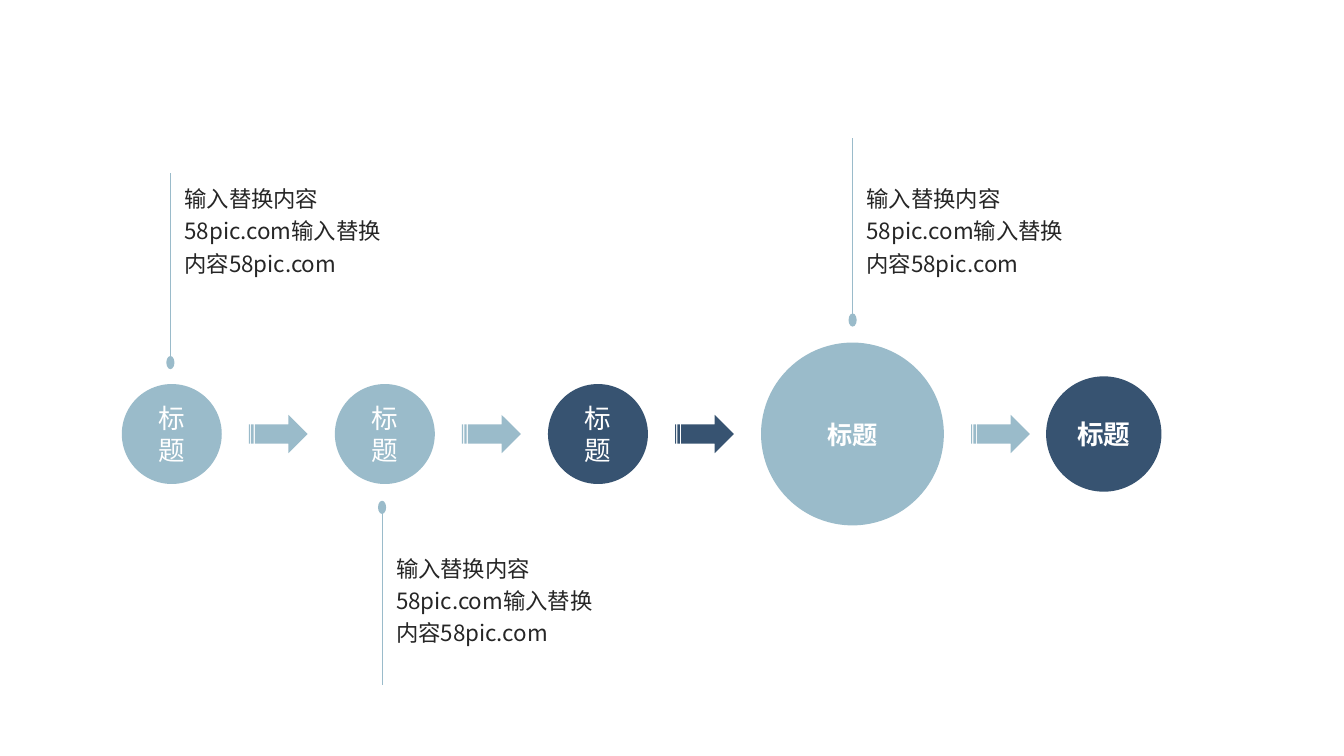
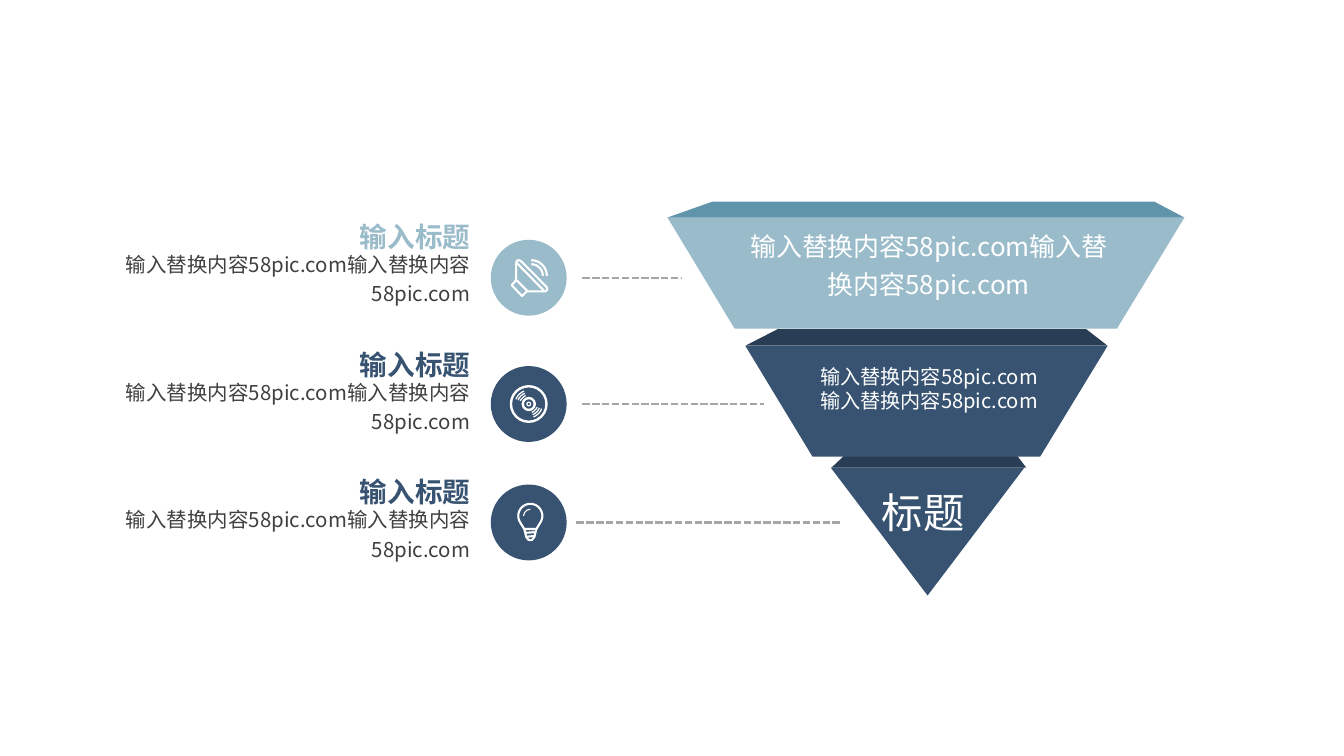
from math import cos, radians, sin

from lxml.etree import SubElement
from pptx import Presentation
from pptx.dml.color import RGBColor
from pptx.enum.dml import MSO_LINE
from pptx.enum.shapes import MSO_CONNECTOR, MSO_SHAPE
from pptx.enum.text import MSO_ANCHOR, PP_ALIGN
from pptx.oxml.ns import qn
from pptx.util import Pt

COLORS = {
    "sky": "9ABBCA",
    "sky_dark": "6094AB",
    "navy": "375371",
    "navy_dark": "293E55",
    "white": "FFFFFF",
    "ink": "262626",
    "body": "404040",
    "dash": "A6A6A6",
}
CJK = "Noto Sans CJK SC"
LATIN = "Arial"
HEADING = "标题"
ITEM_TITLE = "输入标题"
CONTENT = "输入替换内容58pic.com输入替换内容58pic.com"
STROKE = 1.5


def rgb(name):
    return RGBColor.from_string(COLORS[name])


def write(frame, text, size, color, font=CJK, bold=False, align=PP_ALIGN.LEFT,
          spacing=None, insets=(7.2, 3.6, 7.2, 3.6), wrap=True,
          anchor=MSO_ANCHOR.TOP):
    frame.word_wrap = wrap
    frame.vertical_anchor = anchor
    (frame.margin_left, frame.margin_top,
     frame.margin_right, frame.margin_bottom) = map(Pt, insets)
    para = frame.paragraphs[0]
    para.alignment = align
    if spacing:
        para.line_spacing = spacing
    span = para.add_run()
    span.text = text
    span.font.name = font
    span.font.size = Pt(size)
    span.font.bold = bold
    span.font.color.rgb = rgb(color)
    SubElement(span.font._element, qn("a:ea"), typeface=font)


def add_text(page, left, top, width, height, text, size, color, **style):
    box = page.shapes.add_textbox(Pt(left), Pt(top), Pt(width), Pt(height))
    write(box.text_frame, text, size, color, **style)


def paint(shape, fill=None, line=None, weight=STROKE):
    shape.shadow.inherit = False
    if fill:
        shape.fill.solid()
        shape.fill.fore_color.rgb = rgb(fill)
    else:
        shape.fill.background()
    if line:
        shape.line.color.rgb = rgb(line)
        shape.line.width = Pt(weight)
    else:
        shape.line.fill.background()


def add_preset(page, kind, left, top, width, height, **look):
    shape = page.shapes.add_shape(kind, Pt(left), Pt(top), Pt(width), Pt(height))
    paint(shape, **look)
    return shape


def add_circle(page, x, y, radius, **look):
    return add_preset(page, MSO_SHAPE.OVAL, x - radius, y - radius,
                      2 * radius, 2 * radius, **look)


def add_arc(page, x, y, radius, start, end, weight=STROKE):
    arc = add_preset(page, MSO_SHAPE.ARC, x - radius, y - radius,
                     2 * radius, 2 * radius, line="white", weight=weight)
    arc.adjustments[0] = start * 0.6
    arc.adjustments[1] = end * 0.6


def add_outline(page, points, x=0, y=0, closed=True, **look):
    first, *rest = [(Pt(x + dx), Pt(y + dy)) for dx, dy in points]
    builder = page.shapes.build_freeform(*first, scale=1.0)
    builder.add_line_segments(rest, close=closed)
    paint(builder.convert_to_shape(), **look)


def add_line(page, x1, y1, x2, y2, color, weight, dash=None):
    line = page.shapes.add_connector(
        MSO_CONNECTOR.STRAIGHT, Pt(x1), Pt(y1), Pt(x2), Pt(y2))
    line.line.color.rgb = rgb(color)
    line.line.width = Pt(weight)
    if dash:
        line.line.dash_style = dash
    SubElement(line._element.spPr, qn("a:effectLst"))


def add_callout(page, x, dot_y, line_end, text_top):
    add_preset(page, MSO_SHAPE.OVAL, x - 2.9, dot_y - 4.7, 5.8, 9.4, fill="sky")
    add_line(page, x, dot_y, x, line_end, "sky", 0.5)
    add_text(page, x + 2.9, text_top, 166.3, 74.9, CONTENT, 16, "ink", spacing=1.2)


def add_dish(page, x, y):
    stroke = {"line": "white"}
    add_outline(page, [(-9, -10.4), (-8.6, -12), (-7.2, -12.6), (-5.6, -12),
                       (13, 6.8), (13.2, 8.6), (11.9, 9.7), (-0.7, 9.7),
                       (-9, 1.4)], x, y, **stroke)
    add_line(page, x - 8.5, y - 10.5, x + 10.6, y + 9, "white", STROKE)
    add_outline(page, [(-9, 1.7), (-12.2, 5.4), (-4.7, 13), (-1.1, 9.4)],
                x, y, closed=False, **stroke)
    for radius in (8.3, 11.2):
        add_arc(page, x + 1.8, y - 1.4, radius, 270, 0)


def add_disc(page, x, y):
    for radius, weight in ((12.7, 1.7), (4.3, 1.7), (1.3, 0.9)):
        add_circle(page, x, y, radius, line="white", weight=weight)
    for radius in (6.4, 8.1, 9.8):
        for start in (20, 200):
            add_arc(page, x, y, radius, start, start + 50, weight=0.9)


def add_bulb(page, x, y):
    glass = [(1.1 + 8.6 * cos(radians(angle)), -4.7 + 8.6 * sin(radians(angle)))
             for angle in range(150, 391, 10)]
    add_outline(page, glass + [(5.4, 4.7), (-3.2, 4.7)], x, y, line="white")
    add_outline(page, [(-3.2, 4.7), (-1.8, 10.4), (0, 12.6), (2.2, 12.6),
                       (4, 10.4), (5.4, 4.7)], x, y, closed=False, line="white")
    for rise, half in ((7.4, 3.4), (10.2, 2.7)):
        add_line(page, x + 1.1 - half, y + rise, x + 1.1 + half, y + rise - 0.5,
                 "white", STROKE)
    add_arc(page, x + 1.1, y - 4.7, 4.8, 180, 270, weight=0.8)


def build_process(page):
    middle, gap, arrow_width, arrow_height = 310, 19.4, 42, 27.4
    steps = [
        (71.4, "sky", 19, False, gap),
        (71.4, "sky", 19, False, gap),
        (71.4, "navy", 19, False, gap),
        (130.6, "sky", 18, True, 11.6),
        (82.4, "navy", 19, True, None),
    ]
    left = 87
    for size, color, text_size, bold, next_gap in steps:
        circle = add_circle(page, left + size / 2, middle, size / 2, fill=color)
        write(circle.text_frame, HEADING, text_size, "white", bold=bold,
              align=PP_ALIGN.CENTER, anchor=MSO_ANCHOR.MIDDLE,
              insets=(9.4, 5, 9.4, 5))
        left += size + gap
        if next_gap:
            add_preset(page, MSO_SHAPE.STRIPED_RIGHT_ARROW, left,
                       middle - arrow_height / 2, arrow_width, arrow_height,
                       fill=color)
            left += arrow_width + next_gap

    for callout in ((121.7, 259, 123.3, 125), (609, 228.6, 98.6, 125),
                    (272.9, 362.4, 489, 389)):
        add_callout(page, *callout)


def build_funnel(page):
    add_preset(page, MSO_SHAPE.FLOWCHART_MERGE, 593.4, 334, 138.4, 91.4, fill="navy")
    faces = [
        ("navy_dark", [(606, 322.6), (724.4, 322.6), (733, 334), (594, 334)]),
        ("navy", [(532.4, 247), (791.2, 247), (743, 326.2), (580.4, 326.2)]),
        ("sky", [(476.8, 155.4), (846, 155.4), (797.8, 234.8), (524.8, 234.8)]),
        ("navy_dark", [(555.4, 235.2), (776, 235.2), (791.2, 247), (532.4, 247)]),
        ("sky_dark", [(509, 144), (824.4, 144), (846, 155.4), (476.8, 155.4)]),
    ]
    for color, points in faces:
        add_outline(page, points, fill=color)

    centred = {"align": PP_ALIGN.CENTER, "insets": (0, 0, 0, 0)}
    add_text(page, 528.4, 160.6, 270, 68.4, CONTENT, 18.5, "white",
             spacing=1.2, **centred)
    add_text(page, 580.6, 259.9, 166, 54, CONTENT, 14.4, "white", **centred)
    add_text(page, 609.4, 347.8, 100, 28.8, HEADING, 29.6, "white",
             font=LATIN, wrap=False, **centred)


def build_items(page):
    icon_x = 377.7
    items = [
        ("sky", 198.4, 416, 487, add_dish),
        ("navy", 288.6, 416, 546, add_disc),
        ("navy", 373.2, 411.8, 600.5, add_bulb),
    ]
    side = {"align": PP_ALIGN.RIGHT, "insets": (0, 0, 15.1, 0)}
    for index, (color, y, dash_start, dash_end, draw_icon) in enumerate(items):
        add_line(page, dash_start, y, dash_end, y, "dash", 1.75, MSO_LINE.SQUARE_DOT)
        add_circle(page, icon_x, y, 27.1, fill=color)
        draw_icon(page, icon_x, y)
        top = 157.2 + index * 91.1
        add_text(page, 242.6, top, 108.4, 19.4, ITEM_TITLE, 19.7, color,
                 font=LATIN, bold=True, wrap=False, **side)
        add_text(page, 68.4, top + 19.4, 282.6, 52.6, CONTENT, 14.6, "body",
                 spacing=1.2, **side)


def main():
    deck = Presentation()
    deck.slide_width, deck.slide_height = Pt(960), Pt(540)
    blank = deck.slide_layouts[6]
    build_process(deck.slides.add_slide(blank))
    page = deck.slides.add_slide(blank)
    build_funnel(page)
    build_items(page)
    deck.save("out.pptx")


if __name__ == "__main__":
    main()
